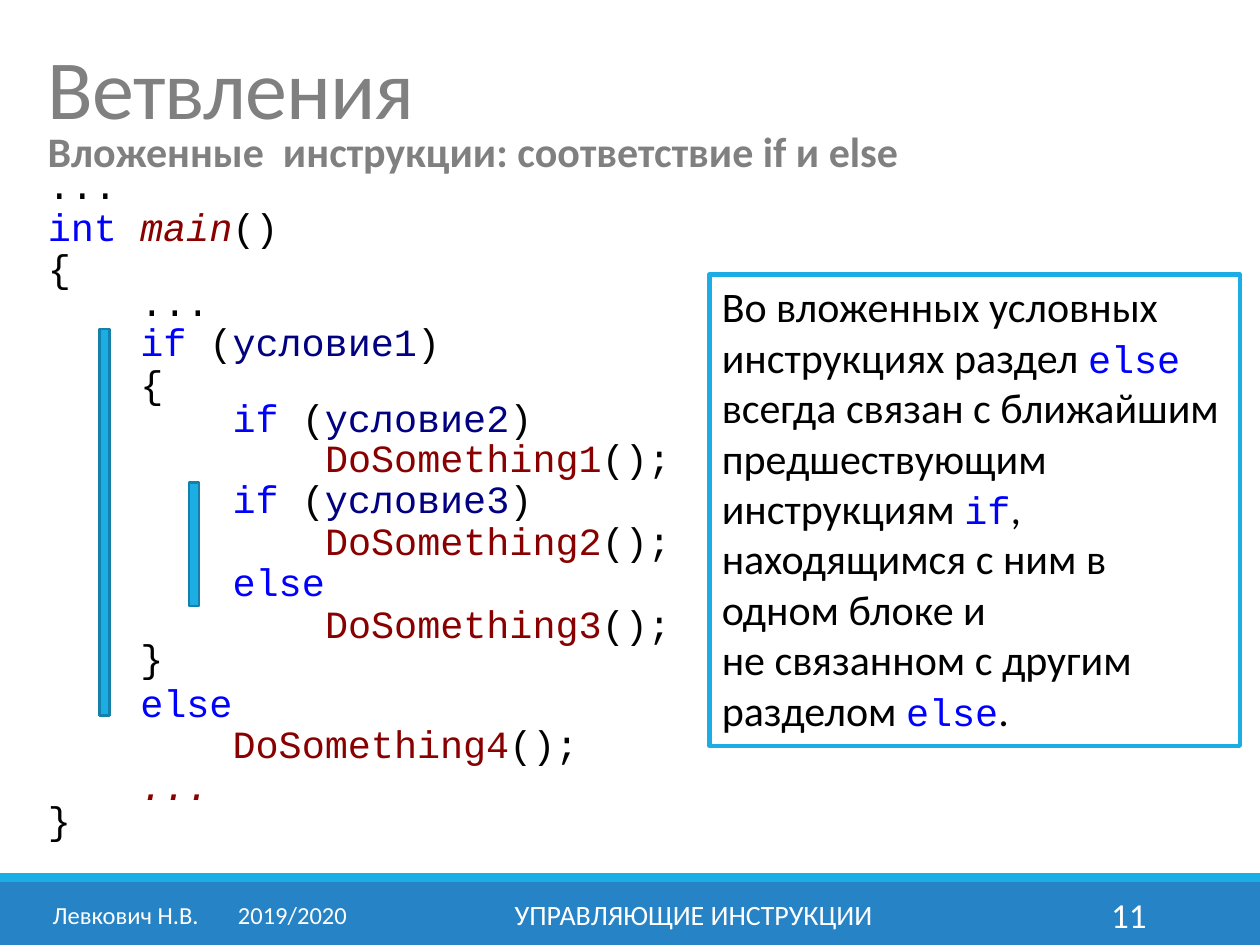
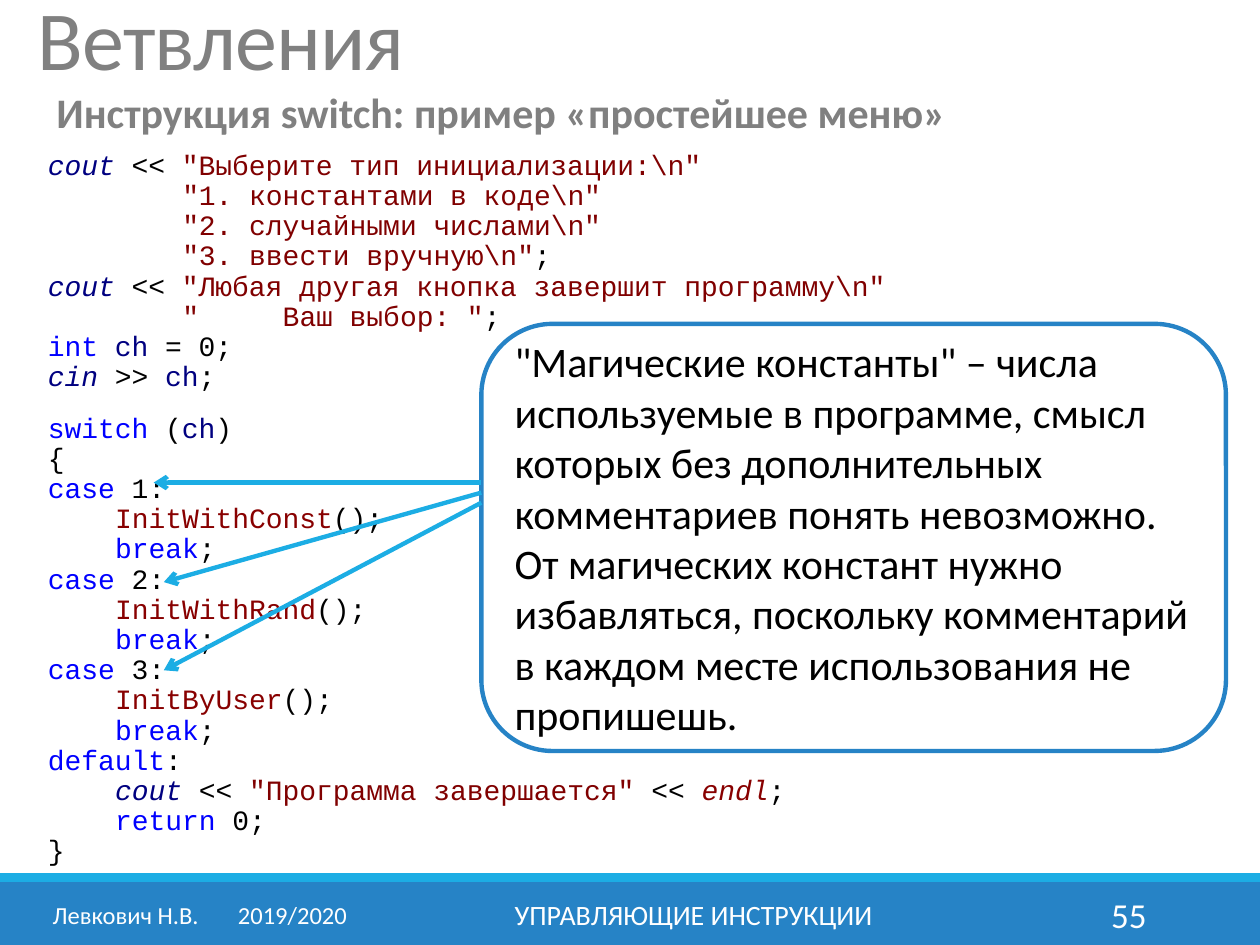
"""Build two lecture slides on branching: nested if/else and a switch menu."""
from lxml import etree
from pptx import Presentation
from pptx.dml.color import RGBColor
from pptx.enum.shapes import MSO_CONNECTOR, MSO_SHAPE
from pptx.enum.text import MSO_ANCHOR, MSO_AUTO_SIZE, PP_ALIGN
from pptx.oxml.ns import qn
from pptx.util import Inches, Pt

RECTANGLE, ROUNDED = MSO_SHAPE.RECTANGLE, MSO_SHAPE.ROUNDED_RECTANGLE
STRAIGHT = MSO_CONNECTOR.STRAIGHT
TOP, MIDDLE = MSO_ANCHOR.TOP, MSO_ANCHOR.MIDDLE
LEFT, CENTER, RIGHT = PP_ALIGN.LEFT, PP_ALIGN.CENTER, PP_ALIGN.RIGHT
NO_AUTOFIT = MSO_AUTO_SIZE.NONE

BLACK = RGBColor(0x00, 0x00, 0x00)
WHITE = RGBColor(0xFF, 0xFF, 0xFF)
GRAY = RGBColor(0x80, 0x80, 0x80)
SKY = RGBColor(0x1C, 0xAD, 0xE4)
SKY_DARK = RGBColor(0x15, 0x80, 0xA9)
OCEAN = RGBColor(0x26, 0x83, 0xC6)
KEYWORD_BLUE = RGBColor(0x00, 0x00, 0xFF)
NAME_NAVY = RGBColor(0x00, 0x00, 0x80)
CALL_RED = RGBColor(0x88, 0x00, 0x00)
STRING_RED = RGBColor(0x80, 0x00, 0x00)

COLUMNS, ROWS = 100, 75
CELL = Inches(0.1)
CODE_FONT = "Courier New"
CHARACTER_WIDTH = 0.6

STYLES = {'"': {"color": STRING_RED}}
for words, style in [
    ("int if else switch case break default return", {"color": KEYWORD_BLUE}),
    ("условие1 условие2 условие3 ch", {"color": NAME_NAVY}),
    ("cout cin", {"color": NAME_NAVY, "italic": True}),
    ("main endl ...", {"color": CALL_RED, "italic": True}),
    ("DoSomething1 DoSomething2 DoSomething3 DoSomething4", {"color": CALL_RED}),
    ("InitWithConst InitWithRand InitByUser", {"color": CALL_RED}),
]:
    STYLES.update(dict.fromkeys(words.split(), style))

NESTED_CODE = r"""...
int| |main|()
{
    ...
    |if| (|условие1|)
    {
        |if| (|условие2|)
            |DoSomething1|();
        |if| (|условие3|)
            |DoSomething2|();
        |else|
            |DoSomething3|();
    }
    |else|
        |DoSomething4|();
    |...|
}"""

MENU_CODE = r"""cout| << |"Выберите тип инициализации:\n"
        |"1. константами в коде\n"
        |"2. случайными числами\n"
        |"3. ввести вручную\n"|;
cout| << |"Любая другая кнопка завершит программу\n"
        |"     Ваш выбор: "|;
int| |ch| = 0;
cin| >> |ch|;
switch| (|ch|)
{
case| 1:
    |InitWithConst|();
    |break|;
case| 2:
    |InitWithRand|();
    |break|;
case| 3:
    |InitByUser|();
    |break|;
default|:
    |cout| << |"Программа завершается" |<< |endl|;
    |return| 0;
}"""

SLIDES = [
    {
        "number": "11",
        "title_cells": (2.8, 2.1, 95.3, 10.7), "title_spacing": 0.85,
        "subtitle": "Вложенные  инструкции: соответствие if и else",
        "subtitle_cells": (2.8, 9.9, 91, 5.5),
        "code": NESTED_CODE, "code_size": 22,
        "code_cells": (2.8, 12.7, 95.3, 55.1),
        "spacings": {3: 0.7, 6: 0.7, 12: 0.7, 13: 1.0, 16: 0.7}, "gaps": {},
        "bars": [(7.9, 26.1, 0.8, 30.7), (15, 38.3, 0.8, 9.8)],
        "callout_shape": RECTANGLE, "callout_cells": (56.3, 21.8, 42.1, 37.4),
        "callout_line": SKY, "callout_anchor": TOP,
        "callout": [
            "Во вложенных условных инструкциях раздел |else| всегда связан с "
            "ближайшим предшествующим инструкциям |if|, находящимся с ним в "
            "одном блоке и|\n|не связанном с другим разделом |else|."],
        "arrows": [],
    },
    {
        "number": "55",
        "title_cells": (2, 0, 95.3, 7.6), "title_spacing": 0.75,
        "subtitle": "Инструкция switch: пример «простейшее меню»",
        "subtitle_cells": (3.5, 6.8, 91, 5.5),
        "code": MENU_CODE, "code_size": 16,
        "code_cells": (2.8, 11.5, 72, 57.8),
        "spacings": {}, "gaps": {8: 12},
        "bars": [],
        "callout_shape": ROUNDED, "callout_cells": (38.2, 25.7, 59.1, 33.9),
        "callout_line": OCEAN, "callout_anchor": MIDDLE,
        "callout": [
            '"Магические константы" – числа используемые в программе, смысл '
            "которых без дополнительных комментариев понять невозможно.",
            "От магических констант нужно избавляться, поскольку комментарий "
            "в каждом месте использования не пропишешь."],
        "arrows": [(38.2, 38.3, 12.2, 38.3), (38.2, 39.1, 13, 46.2),
                   (38.2, 39.9, 13, 53.2)],
    },
]


def grid(*cells):
    """Turn grid cells into lengths."""
    return [round(cell * CELL) for cell in cells]


def write(shape, lines, size, color=BLACK, font="Calibri", bold=False,
          anchor=TOP, align=LEFT, spacing=1.0):
    """Fill a shape with lines; pieces between bars take their code style."""
    frame = shape.text_frame
    for name, value in {"word_wrap": True, "auto_size": NO_AUTOFIT,
                        "vertical_anchor": anchor}.items():
        setattr(frame, name, value)
    for index, line in enumerate(lines):
        paragraph = frame.add_paragraph() if index else frame.paragraphs[0]
        for name, value in {"alignment": align, "line_spacing": spacing,
                            "space_before": Pt(0)}.items():
            setattr(paragraph, name, value)
        for piece in filter(None, line.split("|")):
            if piece == "\n":
                paragraph.add_line_break()
                continue
            key = '"' if piece.startswith('"') else piece
            style = STYLES.get(key, {}) if "|" in line else {}
            run = paragraph.add_run()
            run.text = piece
            for name, value in {"name": font, "size": Pt(size), "bold": bold,
                                "italic": style.get("italic", False)}.items():
                setattr(run.font, name, value)
            run.font.color.rgb = style.get("color", color)


presentation = Presentation()
presentation.slide_width, presentation.slide_height = grid(COLUMNS, ROWS)

for content in SLIDES:
    slide = presentation.slides.add_slide(presentation.slide_layouts[1])
    shapes = slide.shapes
    title, body = slide.placeholders
    for placeholder, cells in [(title, content["title_cells"]),
                               (body, content["code_cells"])]:
        for name, value in zip(("left", "top", "width", "height"), grid(*cells)):
            setattr(placeholder, name, value)

    write(title, ["Ветвления"], 48, GRAY, anchor=MIDDLE,
          spacing=content["title_spacing"])
    title.text_frame.paragraphs[0].runs[0].font._element.set("spc", "-50")

    code_lines = content["code"].split("\n")
    size = content["code_size"]
    write(body, [line.lstrip() for line in code_lines], size, font=CODE_FONT)
    for index, paragraph in enumerate(body.text_frame.paragraphs):
        line = code_lines[index]
        depth = len(line) - len(line.lstrip())
        paragraph.line_spacing = content["spacings"].get(index, 0.9)
        paragraph.space_before = Pt(content["gaps"].get(index, 0))
        properties = paragraph._p.get_or_add_pPr()
        properties.set("marL", str(Pt(depth * CHARACTER_WIDTH * size)))
        properties.set("indent", "0")
        etree.SubElement(properties, qn("a:buNone"))
        for run in paragraph.runs:
            highlight = etree.Element(qn("a:highlight"))
            etree.SubElement(highlight, qn("a:srgbClr")).set("val", str(WHITE))
            run.font._element.find(qn("a:solidFill")).addnext(highlight)

    bands = [((0, 70, COLUMNS, 5), OCEAN, None),
             ((0, 69.3, COLUMNS, 0.7), SKY, None)]
    bars = [(cells, SKY, SKY_DARK) for cells in content["bars"]]
    for cells, fill, outline in bands + bars:
        block = shapes.add_shape(RECTANGLE, *grid(*cells))
        block.shadow.inherit = False
        block.fill.solid()
        block.fill.fore_color.rgb = fill
        if outline:
            block.line.color.rgb = outline
            block.line.width = Pt(1.25)
        else:
            block.line.fill.background()

    subtitle = shapes.add_textbox(*grid(*content["subtitle_cells"]))
    write(subtitle, [content["subtitle"]], 24, GRAY, bold=True, spacing=0.9)

    for text, left, width, size, align in [
        ("Левкович Н.В.\t2019/2020", 3.2, 26.1, 14, LEFT),
        ("УПРАВЛЯЮЩИЕ ИНСТРУКЦИИ", 30.2, 49.7, 16, CENTER),
        (content["number"], 81.2, 10.8, 20, RIGHT),
    ]:
        footer = shapes.add_textbox(*grid(left, 70.6, width, 4))
        write(footer, [text], size, WHITE, anchor=MIDDLE, align=align)
        if "\t" in text:
            properties = footer.text_frame.paragraphs[0]._p.get_or_add_pPr()
            tabs = etree.SubElement(properties, qn("a:tabLst"))
            etree.SubElement(tabs, qn("a:tab"), pos=str(Inches(1.47)), algn="l")

    callout = shapes.add_shape(content["callout_shape"],
                               *grid(*content["callout_cells"]))
    callout.shadow.inherit = False
    callout.fill.solid()
    callout.fill.fore_color.rgb = WHITE
    callout.line.color.rgb = content["callout_line"]
    callout.line.width = Pt(2.5)
    write(callout, content["callout"], 24, anchor=content["callout_anchor"])
    for paragraph in callout.text_frame.paragraphs:
        for run in paragraph.runs:
            if run.text in STYLES:
                run.font.name = CODE_FONT
                run.font.size = Pt(22)

    for cells in content["arrows"]:
        arrow = shapes.add_connector(STRAIGHT, *grid(*cells))
        arrow.line.color.rgb = SKY
        arrow.line.width = Pt(2.5)
        etree.SubElement(arrow.line._get_or_add_ln(), qn("a:tailEnd"), type="arrow")
        etree.SubElement(arrow._element.spPr, qn("a:effectLst"))

presentation.save("out.pptx")
